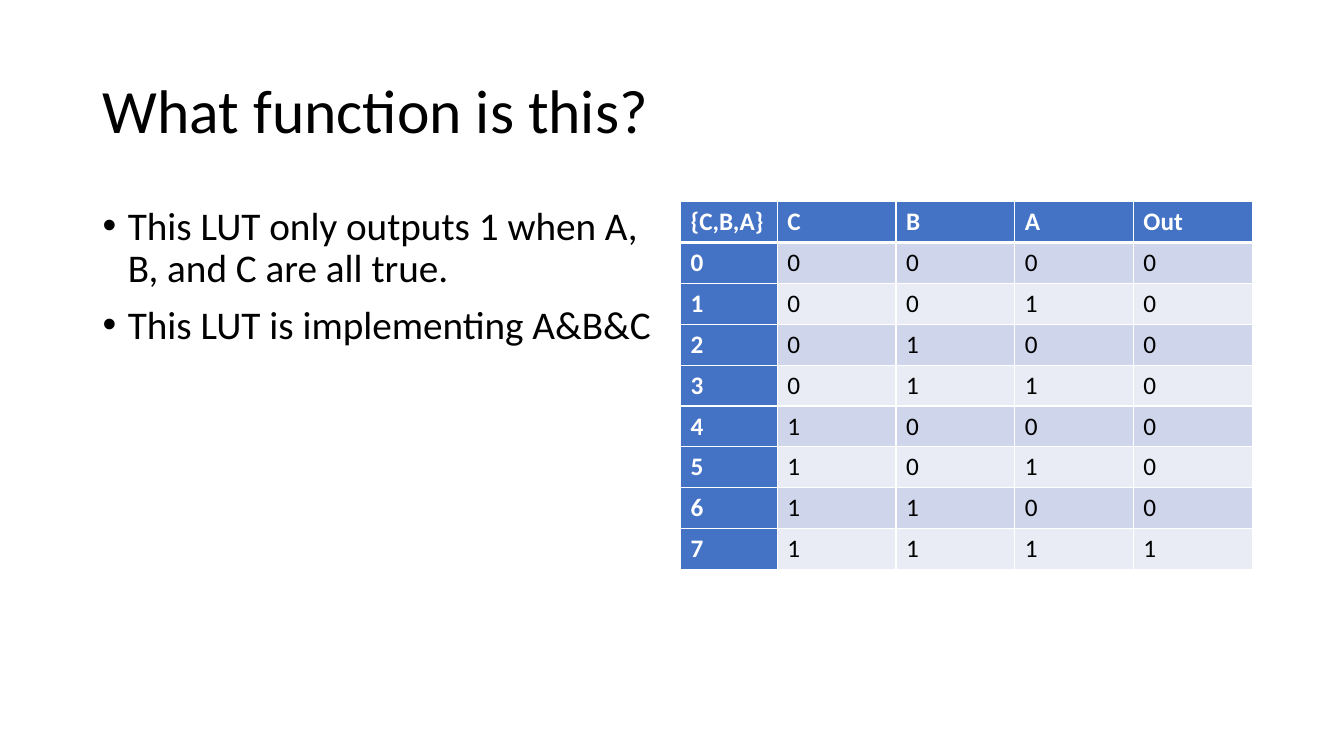
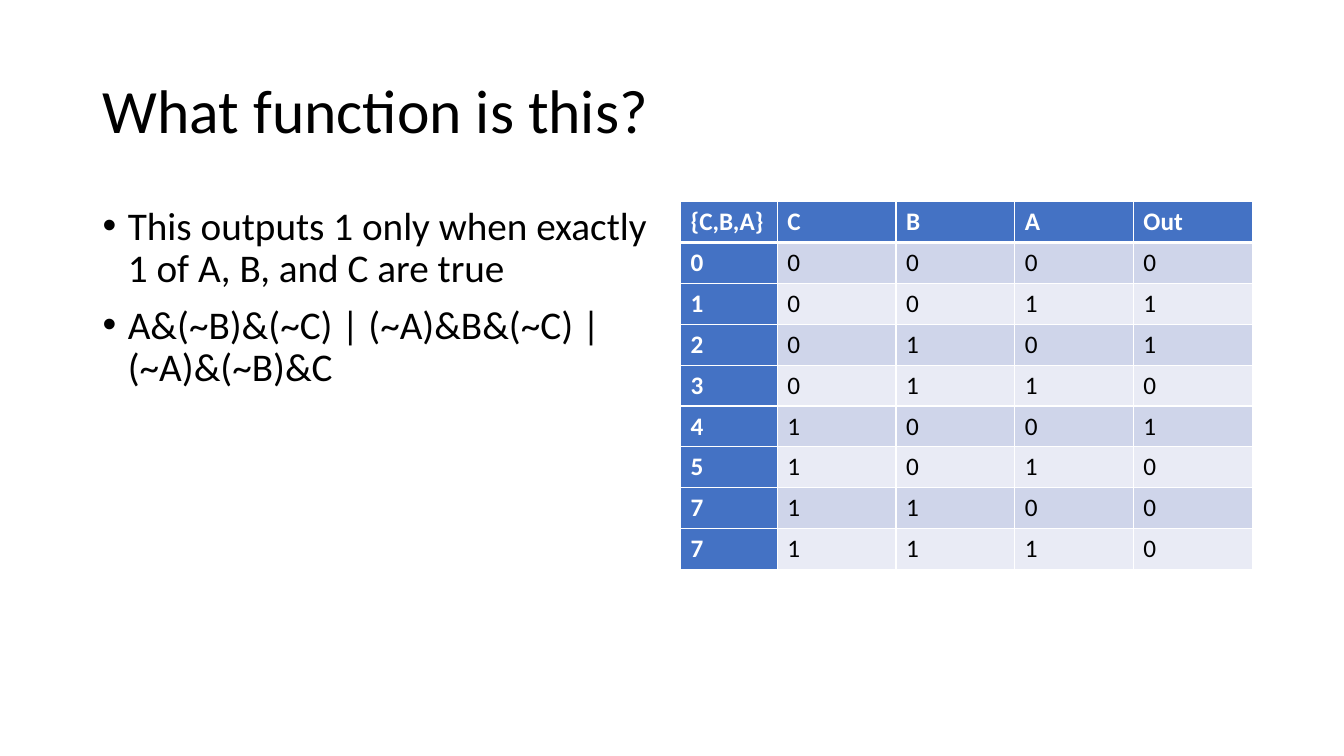
from dataclasses import dataclass
from itertools import product

from lxml.etree import SubElement
from pptx import Presentation
from pptx.dml.color import RGBColor
from pptx.enum.text import MSO_ANCHOR, MSO_AUTO_SIZE, PP_ALIGN
from pptx.oxml.ns import qn
from pptx.util import Inches, Pt

TITLE = "What function is this?"
HEADINGS = ("{C,B,A}", "C", "B", "A", "Out")
SLIDES = (
    {
        "bullets": (
            "This LUT only outputs 1 when A, B, and C are all true.",
            "This LUT is implementing A&B&C",
        ),
        "labels": "01234567",
        "outputs": "00000001",
    },
    {
        "bullets": (
            "This outputs 1 only when exactly 1 of A, B, and C are true",
            "A&(~B)&(~C) | (~A)&B&(~C) | (~A)&(~B)&C",
        ),
        "labels": "01234577",
        "outputs": "01101000",
    },
)

TITLE_BOX = (0.92, 0.4, 11.5, 1.45)
BULLET_BOX = (0.92, 2, 5.67, 4.76)
TABLE_BOX = (6.75, 2, 5.67, 3.65)
LABEL_WIDTH = 0.96
BULLET_INDENT = Inches(0.25)


@dataclass(frozen=True)
class Theme:
    font: str = "Calibri"
    text: RGBColor = RGBColor(0x00, 0x00, 0x00)
    white: RGBColor = RGBColor(0xFF, 0xFF, 0xFF)
    header: RGBColor = RGBColor(0x44, 0x72, 0xC4)
    bands: tuple = (RGBColor(0xE9, 0xEB, 0xF5), RGBColor(0xCF, 0xD5, 0xEA))
    title_size: Pt = Pt(44)
    bullet_size: Pt = Pt(28)
    table_size: Pt = Pt(18)
    thin_line: Pt = Pt(1)
    thick_line: Pt = Pt(3)


THEME = Theme()


def apply(target, values):
    for name, value in values.items():
        setattr(target, name, value)


def write(paragraph, text, size, color=THEME.text, bold=False):
    run = paragraph.add_run()
    run.text = text
    apply(run.font, {"name": THEME.font, "size": size, "bold": bold})
    run.font.color.rgb = color


def place(shape, box):
    apply(shape, dict(zip(("left", "top", "width", "height"), map(Inches, box))))


def add_title(slide):
    title = slide.shapes.title
    place(title, TITLE_BOX)
    apply(title.text_frame, {
        "vertical_anchor": MSO_ANCHOR.MIDDLE,
        "auto_size": MSO_AUTO_SIZE.NONE,
        "word_wrap": True,
    })
    paragraph = title.text_frame.paragraphs[0]
    apply(paragraph, {"alignment": PP_ALIGN.LEFT, "line_spacing": 0.9})
    write(paragraph, TITLE, THEME.title_size)


def add_bullets(slide, bullets):
    frame = slide.shapes.add_textbox(*map(Inches, BULLET_BOX)).text_frame
    frame.word_wrap = True
    for index, text in enumerate(bullets):
        paragraph = frame.add_paragraph() if index else frame.paragraphs[0]
        apply(paragraph, {"line_spacing": 0.9, "space_before": Pt(10)})
        properties = paragraph._p.get_or_add_pPr()
        properties.set("marL", str(BULLET_INDENT))
        properties.set("indent", str(-BULLET_INDENT))
        SubElement(properties, qn("a:buFont"), typeface="Arial")
        SubElement(properties, qn("a:buChar"), char="•")
        write(paragraph, text, THEME.bullet_size)


def add_borders(cell, row):
    thick_side = {0: "B", 1: "T"}.get(row)
    properties = cell._tc.get_or_add_tcPr()
    for side in "LRTB":
        width = THEME.thick_line if side == thick_side else THEME.thin_line
        line = SubElement(properties, qn(f"a:ln{side}"), w=str(width))
        fill = SubElement(line, qn("a:solidFill"))
        SubElement(fill, qn("a:srgbClr"), val=str(THEME.white))


def add_truth_table(slide, labels, outputs):
    inputs = product("01", repeat=3)
    rows = [HEADINGS] + [
        (label, *bits, output)
        for label, bits, output in zip(labels, inputs, outputs)
    ]
    left, top, width, height = map(Inches, TABLE_BOX)
    table = slide.shapes.add_table(
        len(rows), len(HEADINGS), left, top, width, height
    ).table
    table.first_col = True
    label_width = Inches(LABEL_WIDTH)
    value_width = (width - label_width) // (len(HEADINGS) - 1)
    for index, column in enumerate(table.columns):
        column.width = value_width if index else label_width
    for row in table.rows:
        row.height = height // len(rows)
    for row, values in enumerate(rows):
        for column, text in enumerate(values):
            cell = table.cell(row, column)
            heading = row == 0 or column == 0
            add_borders(cell, row)
            cell.fill.solid()
            cell.fill.fore_color.rgb = THEME.header if heading else THEME.bands[row % 2]
            color = THEME.white if heading else THEME.text
            write(cell.text_frame.paragraphs[0], text, THEME.table_size, color, heading)


def main():
    presentation = Presentation()
    apply(presentation, {"slide_width": Inches(13.33), "slide_height": Inches(7.5)})
    title_only = presentation.slide_layouts[5]
    for content in SLIDES:
        slide = presentation.slides.add_slide(title_only)
        add_title(slide)
        add_bullets(slide, content["bullets"])
        add_truth_table(slide, content["labels"], content["outputs"])
    presentation.save("out.pptx")


if __name__ == "__main__":
    main()
